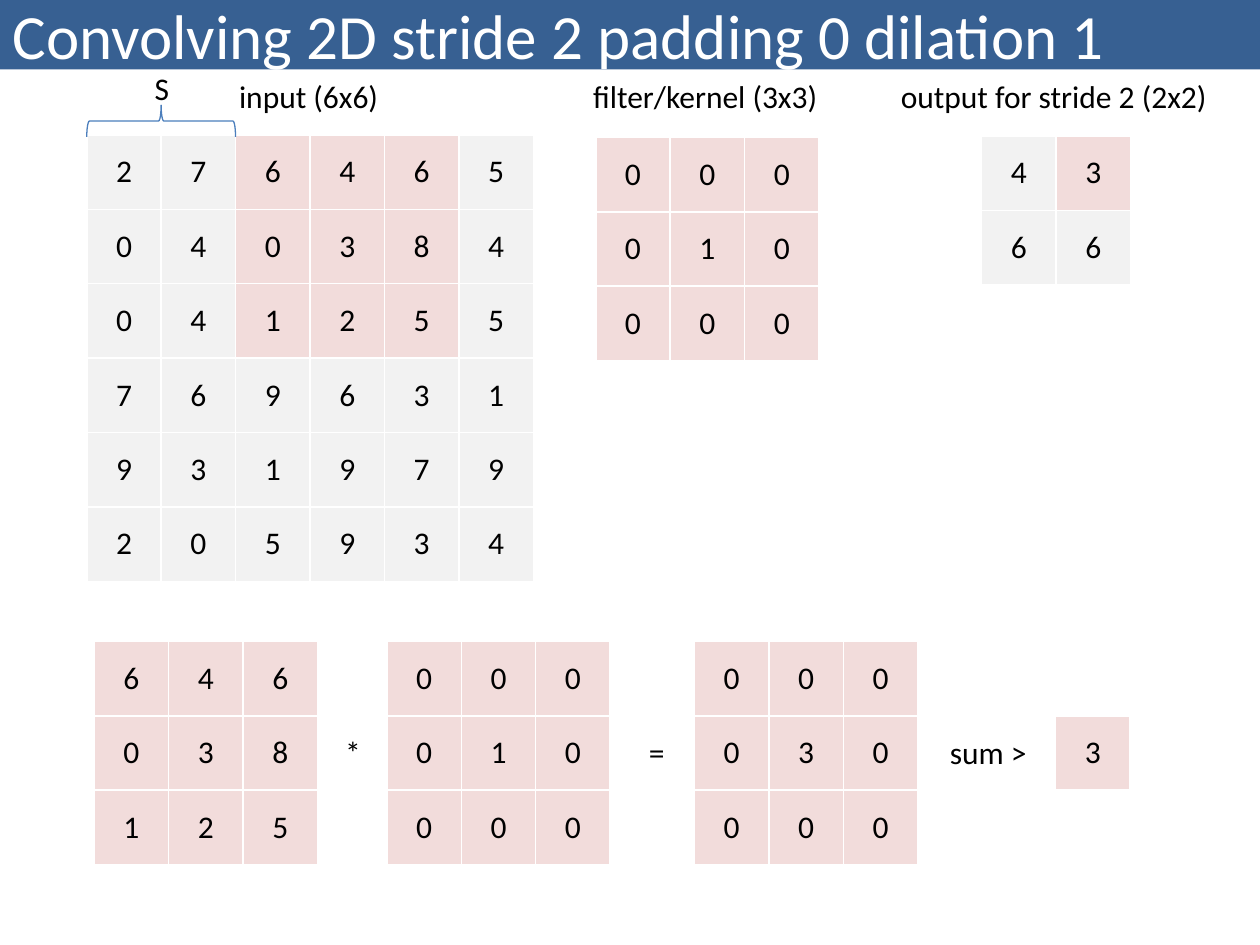
from lxml.etree import SubElement
from pptx import Presentation
from pptx.dml.color import RGBColor
from pptx.enum.shapes import MSO_SHAPE
from pptx.enum.text import MSO_ANCHOR, MSO_AUTO_SIZE, PP_ALIGN
from pptx.oxml.ns import qn
from pptx.util import Cm, Pt

COLORS = {
    "banner": "376092",
    "plain": "F2F2F2",
    "active": "F2DCDB",
    "border": "FFFFFF",
    "brace": "4B7EBC",
    "light_text": "FFFFFF",
    "dark_text": "000000",
}
CELL = 1.5
STRIDE = 2
INPUT = [
    [2, 7, 6, 4, 6, 5],
    [0, 4, 0, 3, 8, 4],
    [0, 4, 1, 2, 5, 5],
    [7, 6, 9, 6, 3, 1],
    [9, 3, 1, 9, 7, 9],
    [2, 0, 5, 9, 3, 4],
]
KERNEL = [[0, 0, 0], [0, 1, 0], [0, 0, 0]]
SIZE = len(KERNEL)
ACTIVE_ROW, ACTIVE_COL = 0, 1


def rgb(name):
    return RGBColor.from_string(COLORS[name])


def window(row, col):
    top, left = row * STRIDE, col * STRIDE
    return [line[left:left + SIZE] for line in INPUT[top:top + SIZE]]


def multiply(patch):
    return [[a * b for a, b in zip(*rows)] for rows in zip(patch, KERNEL)]


def total(matrix):
    return sum(map(sum, matrix))


def style_text(paragraph, size=18, color="dark_text", align=PP_ALIGN.LEFT):
    paragraph.alignment = align
    formats = {"name": "Calibri", "size": Pt(size), "bold": False}
    for key, value in formats.items():
        setattr(paragraph.font, key, value)
    paragraph.font.color.rgb = rgb(color)


def add_borders(cell):
    properties = cell._tc.get_or_add_tcPr()
    for position, side in enumerate(("lnL", "lnR", "lnT", "lnB")):
        line = SubElement(properties, qn(f"a:{side}"), w=str(Pt(1)))
        fill = SubElement(line, qn("a:solidFill"))
        SubElement(fill, qn("a:srgbClr"), val=COLORS["border"])
        properties.insert(position, line)


def add_matrix(slide, left, top, values, active=lambda row, col: True):
    rows, cols = len(values), len(values[0])
    matrix = slide.shapes.add_table(
        rows, cols, Cm(left), Cm(top), Cm(cols * CELL), Cm(rows * CELL)
    ).table
    matrix.first_row = matrix.horz_banding = False
    for band in (*matrix.rows, *matrix.columns):
        setattr(band, "height" if hasattr(band, "height") else "width", Cm(CELL))
    for row, line in enumerate(values):
        for col, value in enumerate(line):
            cell = matrix.cell(row, col)
            cell.text = str(value)
            cell.vertical_anchor = MSO_ANCHOR.MIDDLE
            cell.fill.solid()
            cell.fill.fore_color.rgb = rgb("active" if active(row, col) else "plain")
            style_text(cell.text_frame.paragraphs[0], align=PP_ALIGN.CENTER)
            add_borders(cell)


def add_label(slide, left, top, width, words):
    frame = slide.shapes.add_textbox(Cm(left), Cm(top), Cm(width), Cm(1.02)).text_frame
    frame.word_wrap = False
    frame.auto_size = MSO_AUTO_SIZE.SHAPE_TO_FIT_TEXT
    frame.text = words
    style_text(frame.paragraphs[0])


def add_banner(slide, width, height):
    banner = slide.shapes.title
    box = {"left": 0, "top": 0, "width": Cm(width), "height": Cm(height)}
    for key, value in box.items():
        setattr(banner, key, value)
    banner.fill.solid()
    banner.fill.fore_color.rgb = rgb("banner")
    frame = banner.text_frame
    frame.text = "Convolving 2D stride 2 padding 0 dilation 1"
    frame.auto_size = MSO_AUTO_SIZE.NONE
    frame.vertical_anchor = MSO_ANCHOR.MIDDLE
    style_text(frame.paragraphs[0], 36, "light_text")


def add_stride_brace(slide, left, bottom):
    depth, span = 0.64, STRIDE * CELL
    center = left + span / 2
    brace = slide.shapes.add_shape(
        MSO_SHAPE.RIGHT_BRACE,
        Cm(center - depth / 2), Cm(bottom - depth / 2 - span / 2),
        Cm(depth), Cm(span),
    )
    brace.rotation = 270
    brace.shadow.inherit = False
    brace.fill.background()
    brace.line.color.rgb = rgb("brace")
    brace.line.width = Pt(0.75)
    add_label(slide, center - 0.38, bottom - 1.49, 0.84, "S")


def add_matrices(slide, left, top):
    def in_window(row, col):
        return (0 <= row - ACTIVE_ROW * STRIDE < SIZE
                and 0 <= col - ACTIVE_COL * STRIDE < SIZE)

    def is_current(row, col):
        return (row, col) == (ACTIVE_ROW, ACTIVE_COL)

    steps = range((len(INPUT) - SIZE) // STRIDE + 1)
    output = [[total(multiply(window(r, c))) for c in steps] for r in steps]
    add_matrix(slide, left, top, INPUT, in_window)
    add_matrix(slide, left + 10.26, top + 0.05, KERNEL)
    add_matrix(slide, left + 18.04, top + 0.02, output, is_current)
    for offset, width, words in (
        (2.82, 3.35, "input (6x6)"),
        (9.96, 5.08, "filter/kernel (3x3)"),
        (16.16, 6.76, "output for stride 2 (2x2)"),
    ):
        add_label(slide, left + offset, top - 1.3, width, words)
    add_stride_brace(slide, left, top + 0.04)


def add_calculation(slide, left, top):
    patch = window(ACTIVE_ROW, ACTIVE_COL)
    product = multiply(patch)
    for offset, values in ((0, patch), (5.9, KERNEL), (12.1, product)):
        add_matrix(slide, left + offset, top, values)
    for offset, width, words in (
        (4.81, 0.84, "*"), (10.93, 0.84, "="), (17, 2.08, "sum >"),
    ):
        add_label(slide, left + offset, top + 1.73, width, words)
    add_matrix(slide, left + 19.38, top + CELL, [[total(product)]])


def main():
    deck = Presentation()
    deck.slide_width, deck.slide_height = Cm(25.4), Cm(19.05)
    slide = deck.slides.add_slide(deck.slide_layouts[5])
    add_banner(slide, 25.4, 1.4)
    add_matrices(slide, 1.75, 2.72)
    add_calculation(slide, 1.9, 12.93)
    deck.save("out.pptx")


if __name__ == "__main__":
    main()
